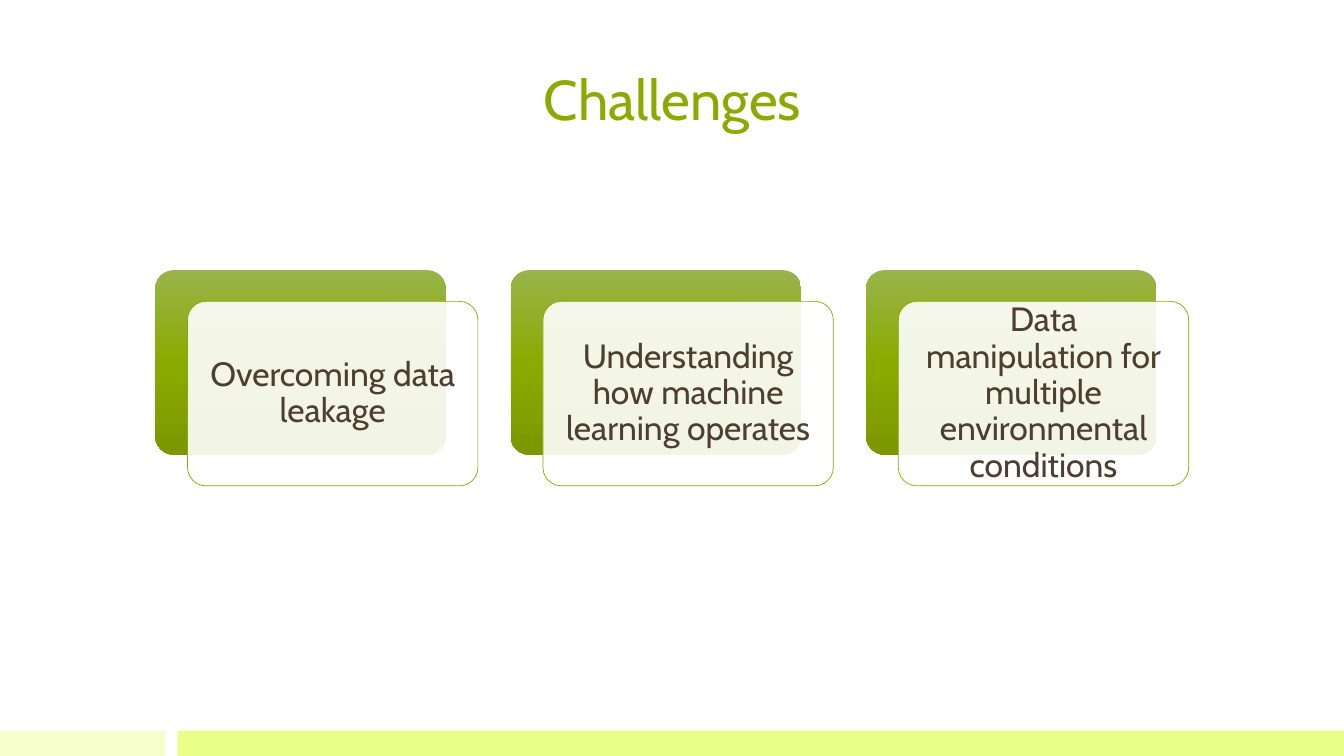
"""Build the Challenges slide: three layered cards above a two-part footer band."""
import copy
from dataclasses import dataclass

import lxml.etree
import pptx
import pptx.dml.color
import pptx.enum.shapes
import pptx.enum.text
import pptx.oxml.ns
import pptx.shapes.autoshape
import pptx.slide
import pptx.util

Inches = pptx.util.Inches
ShapeKind = pptx.enum.shapes.MSO_SHAPE
Anchor = pptx.enum.text.MSO_ANCHOR
qn = pptx.oxml.ns.qn


@dataclass(frozen=True)
class Theme:
    font: str = "Cabin"
    title_size: int = 40
    card_size: int = 24
    outline_width: float = 0.5
    accent: str = "8BAA00"
    text: str = "4D3E2F"
    panel: str = "FFFFFF"
    panel_opacity: int = 90
    gradient: tuple[str, ...] = ("98B44B", "8BAA00", "7C9700")
    footer_light: str = "F6FFCC"
    footer_dark: str = "E9FF88"


@dataclass(frozen=True)
class Box:
    left: float
    top: float
    width: float
    height: float

    def shifted(self, right: float, down: float) -> "Box":
        return Box(self.left + right, self.top + down, self.width, self.height)

    def inset(self, margin: float) -> "Box":
        return Box(self.left + margin, self.top + margin,
                   self.width - 2 * margin, self.height - 2 * margin)

    def lengths(self) -> tuple[int, ...]:
        return tuple(Inches(value) for value in (self.left, self.top, self.width, self.height))


THEME = Theme()
TITLE_BOX = Box(5.22, 0.56, 2.9, 0.8)
FOOTER_BANDS = (
    (Box(0, 7.25, 1.64, 0.25), THEME.footer_light),
    (Box(1.76, 7.25, 11.57, 0.25), THEME.footer_dark),
)
FIRST_CARD = Box(1.54, 2.68, 2.88, 1.83)
CARD_PITCH = 3.525
CHALLENGES = (
    "Overcoming data leakage",
    "Understanding how machine learning operates",
    "Data manipulation for multiple environmental conditions",
)


def rgb(value: str) -> pptx.dml.color.RGBColor:
    return pptx.dml.color.RGBColor.from_string(value)


def add_plain_shape(slide: pptx.slide.Slide, kind: ShapeKind, box: Box,
                    color: str) -> pptx.shapes.autoshape.Shape:
    shape = slide.shapes.add_shape(kind, *box.lengths())
    shape.shadow.inherit = False
    shape.fill.solid()
    shape.fill.fore_color.rgb = rgb(color)
    shape.line.fill.background()
    return shape


def add_rounded(slide: pptx.slide.Slide, box: Box, color: str) -> pptx.shapes.autoshape.Shape:
    shape = add_plain_shape(slide, ShapeKind.ROUNDED_RECTANGLE, box, color)
    shape.adjustments[0] = 0.1
    return shape


def apply_gradient(shape: pptx.shapes.autoshape.Shape, colors: tuple[str, ...]) -> None:
    shape.fill.gradient()
    shape.fill.gradient_angle = 270
    stop_list = shape.element.spPr.find(".//" + qn("a:gsLst"))
    while len(stop_list) < len(colors):
        stop_list.append(copy.deepcopy(stop_list[0]))
    for index, (stop, color) in enumerate(zip(shape.fill.gradient_stops, colors)):
        stop.position = index / (len(colors) - 1)
        stop.color.rgb = rgb(color)


def apply_opacity(shape: pptx.shapes.autoshape.Shape, percent: int) -> None:
    color = shape.element.spPr.find(qn("a:solidFill")).find(qn("a:srgbClr"))
    lxml.etree.SubElement(color, qn("a:alpha")).set("val", str(percent * 1000))


def add_text(slide: pptx.slide.Slide, box: Box, text: str, size: int, color: str,
             anchor: Anchor, margin: float, line_spacing: float) -> None:
    frame = slide.shapes.add_textbox(*box.lengths()).text_frame
    frame.word_wrap = True
    frame.vertical_anchor = anchor
    frame.margin_left = frame.margin_right = Inches(0.1)
    frame.margin_top = frame.margin_bottom = Inches(margin)
    paragraph = frame.paragraphs[0]
    paragraph.text = text
    paragraph.alignment = pptx.enum.text.PP_ALIGN.CENTER
    paragraph.line_spacing = line_spacing
    paragraph.font.name = THEME.font
    paragraph.font.size = pptx.util.Pt(size)
    paragraph.font.color.rgb = rgb(color)


def add_card(slide: pptx.slide.Slide, box: Box, text: str) -> None:
    backing = add_rounded(slide, box, THEME.accent)
    apply_gradient(backing, THEME.gradient)
    panel_box = box.shifted(0.32, 0.31)
    panel = add_rounded(slide, panel_box, THEME.panel)
    apply_opacity(panel, THEME.panel_opacity)
    panel.line.color.rgb = rgb(THEME.accent)
    panel.line.width = pptx.util.Pt(THEME.outline_width)
    add_text(slide, panel_box.inset(0.05), text, THEME.card_size, THEME.text,
             Anchor.MIDDLE, 0.1, 0.9)


def main() -> None:
    presentation = pptx.Presentation()
    presentation.slide_width = Inches(13.33)
    presentation.slide_height = Inches(7.5)
    slide = presentation.slides.add_slide(presentation.slide_layouts[6])
    for box, color in FOOTER_BANDS:
        add_plain_shape(slide, ShapeKind.RECTANGLE, box, color)
    add_text(slide, TITLE_BOX, "Challenges", THEME.title_size, THEME.accent,
             Anchor.BOTTOM, 0.05, 1.0)
    for index, challenge in enumerate(CHALLENGES):
        add_card(slide, FIRST_CARD.shifted(index * CARD_PITCH, 0), challenge)
    presentation.save("out.pptx")


if __name__ == "__main__":
    main()
